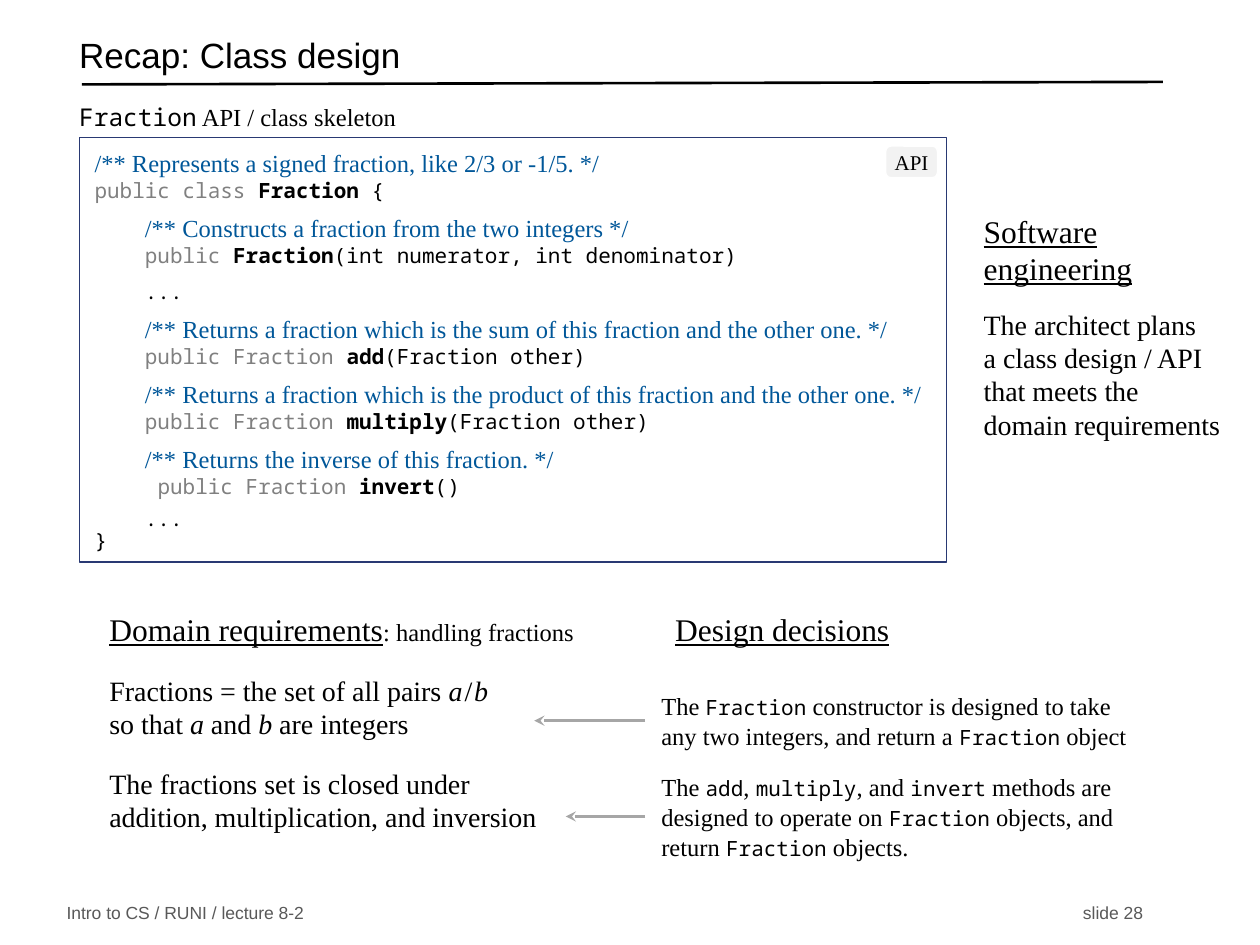
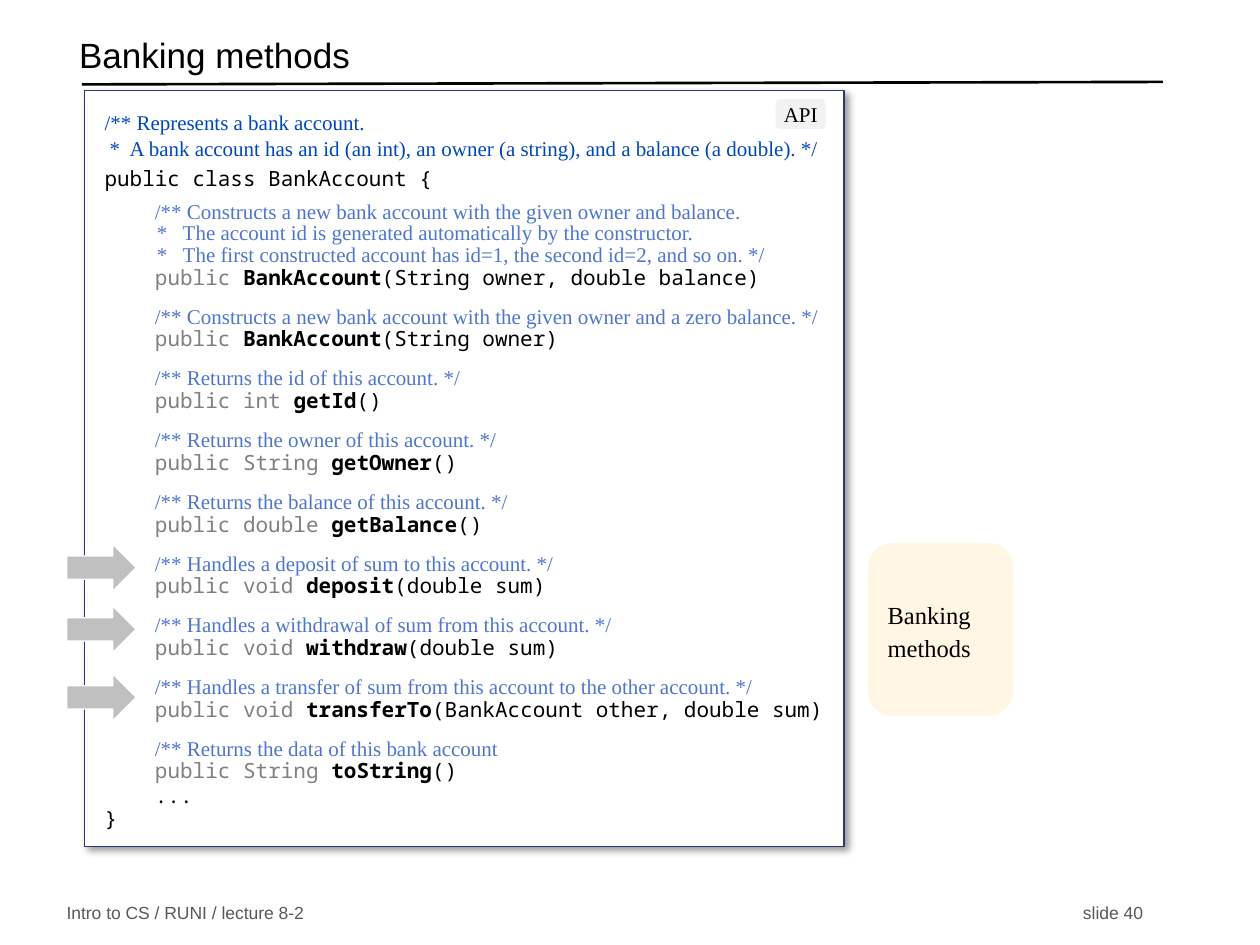
from dataclasses import dataclass, replace
from typing import NamedTuple

from lxml.etree import SubElement
from pptx import Presentation
from pptx.dml.color import RGBColor
from pptx.enum.shapes import MSO_CONNECTOR, MSO_SHAPE as Shape
from pptx.enum.text import MSO_ANCHOR as Anchor, PP_ALIGN as Align
from pptx.oxml.ns import qn
from pptx.util import Inches, Pt


@dataclass(frozen=True)
class Style:
    size: float
    font: str = "Times New Roman"
    color: str = "000000"
    bold: bool = False
    italic: bool = False
    underline: bool = False
    tracking: float = 0


class Theme:
    ink, white = "000000", "FFFFFF"
    frame, tag, arrow, link, callout = "293973", "F2F2F2", "C0C0C0", "A6A6A6", "FFF6E4"
    title = Style(20, "Arial")
    footer = Style(10, "Arial", "595959")
    heading = Style(18, underline=True)
    body = Style(16)
    variable = replace(body, italic=True)
    spaced_variable = replace(variable, tracking=1.1)
    spaced_body = replace(body, tracking=1.1)
    note = Style(14)
    label = Style(12)
    code = Style(12, "Noto Sans Mono")
    code_label = replace(code, size=14)
    keyword = replace(code, color="808080")
    name = replace(code, bold=True)
    fraction_doc = Style(14, color="005799")
    class_doc = Style(12, color="0048B7")
    member_doc = Style(12, color="4F76CB")


class Box(NamedTuple):
    left: float
    top: float
    width: float
    height: float

    def inches(self):
        return [Inches(value) for value in self]


class Line(NamedTuple):
    """One paragraph: (text, style) runs, space before and line spacing (points or factor)."""
    runs: list
    before: float = 0
    spacing: float = 1.0


INDENT = "    "


def rgb(color):
    return RGBColor.from_string(color)


def write(shape, lines, anchor=Anchor.TOP, align=Align.LEFT, insets=(0.1, 0.05, 0.1, 0.05)):
    """Fill a shape with lines; a newline inside a run becomes a line break."""
    frame = shape.text_frame
    frame.word_wrap = True
    frame.vertical_anchor = anchor
    (frame.margin_left, frame.margin_top,
     frame.margin_right, frame.margin_bottom) = map(Inches, insets)
    for index, line in enumerate(lines):
        paragraph = frame.add_paragraph() if index else frame.paragraphs[0]
        paragraph.alignment = align
        paragraph.space_before = Pt(line.before)
        paragraph.line_spacing = line.spacing if line.spacing < 2 else Pt(line.spacing)
        for text, style in line.runs:
            for part_index, part in enumerate(text.split("\n")):
                if part_index:
                    paragraph.add_line_break()
                if part:
                    add_run(paragraph, part, style)


def add_run(paragraph, text, style):
    run = paragraph.add_run()
    run.text = text
    font = run.font
    font.size, font.name = Pt(style.size), style.font
    font.bold, font.italic, font.underline = style.bold, style.italic, style.underline
    font.color.rgb = rgb(style.color)
    if style.tracking:
        run._r.get_or_add_rPr().set("spc", str(round(style.tracking * 100)))


def add_text(slide, box, lines, **layout):
    write(slide.shapes.add_textbox(*box.inches()), lines, **layout)


def add_panel(slide, kind, box, fill=None, outline=None):
    panel = slide.shapes.add_shape(kind, *box.inches())
    panel.shadow.inherit = False
    if fill:
        panel.fill.solid()
        panel.fill.fore_color.rgb = rgb(fill)
    else:
        panel.fill.background()
    if outline:
        panel.line.color.rgb = rgb(outline)
        panel.line.width = Pt(0.75)
    else:
        panel.line.fill.background()
    return panel


def add_line(slide, start, end, color, arrow=False):
    line = slide.shapes.add_connector(MSO_CONNECTOR.STRAIGHT, *map(Inches, start + end))
    line.line.color.rgb = rgb(color)
    line.line.width = Pt(1.5)
    if arrow:
        SubElement(line.line._get_or_add_ln(), qn("a:tailEnd"), type="stealth")
    SubElement(line._element.spPr, qn("a:effectLst"))


def add_shadow(panel):
    effects = panel._element.spPr.find(qn("a:effectLst"))
    shadow = SubElement(effects, qn("a:outerShdw"), blurRad=str(Pt(4)), dist=str(Pt(3)),
                        dir="2700000", algn="tl", rotWithShape="0")
    color = SubElement(shadow, qn("a:srgbClr"), val=Theme.ink)
    SubElement(color, qn("a:alpha"), val="40000")


def add_base_slide(deck, title, number):
    """Blank slide with the shared title, rule and footer."""
    slide = deck.slides.add_slide(deck.slide_layouts[6])
    add_line(slide, (0.65, 0.67), (9.23, 0.65), Theme.ink)
    footer = Box(0.43, 7.14, 8.74, 0.21)
    for part, width, align in (("Intro to CS / RUNI / lecture 8-2", 4, Align.LEFT),
                               (f"slide {number}", 2, Align.RIGHT)):
        left = footer.left if align == Align.LEFT else footer.left + footer.width - width
        add_text(slide, Box(left, footer.top, width, footer.height),
                 [Line([(part, Theme.footer)])], anchor=Anchor.MIDDLE, align=align)
    add_text(slide, Box(0.53, 0.22, 8.6, 0.5), [Line([(title, Theme.title)], spacing=0.7)],
             anchor=Anchor.MIDDLE)
    return slide


def add_api_tag(slide, left, top):
    tag = add_panel(slide, Shape.ROUNDED_RECTANGLE, Box(left, top, 0.41, 0.25),
                    Theme.tag, Theme.white)
    write(tag, [Line([("API", Theme.label)])], Anchor.MIDDLE, Align.CENTER, (0, 0.05, 0, 0.05))


def signature(keywords, name, rest, indent=INDENT):
    return [(indent, Theme.code), (keywords, Theme.keyword), (name, Theme.name),
            (rest, Theme.code)]


def doc(text, style):
    return [(INDENT, Theme.code), (text, style)]


def add_fraction_api(slide, box):
    doc_pitch, code_pitch, end_pitch = 16.6, 14.5, 12.4

    def method(comment, *parts):
        return [Line(doc(comment, Theme.fraction_doc), 6, doc_pitch),
                Line(signature(*parts), 0, code_pitch)]

    dots = [(INDENT + "...", Theme.code)]
    lines = [
        Line([("/** Represents a signed fraction, like 2/3 or -1/5. */", Theme.fraction_doc)],
             0, doc_pitch),
        Line(signature("public class ", "Fraction", " {", ""), 0, code_pitch),
        *method("/** Constructs a fraction from the two integers */",
                "public ", "Fraction", "(int numerator, int denominator)"),
        Line(dots, 6, code_pitch),
        *method("/** Returns a fraction which is the sum of this fraction and the other one. */",
                "public Fraction ", "add", "(Fraction other)"),
        *method("/** Returns a fraction which is the product of this fraction "
                "and the other one. */",
                "public Fraction ", "multiply", "(Fraction other)"),
        *method("/** Returns the inverse of this fraction. */",
                "public Fraction ", "invert", "()", INDENT + " "),
        Line(dots, 6, end_pitch),
        Line([("}", Theme.code)], 0, end_pitch),
    ]
    add_text(slide, Box(box.left - 0.1, box.top - 0.33, 3.7, 0.34),
             [Line([("Fraction", Theme.code_label), (" API / class skeleton", Theme.note)])])
    write(add_panel(slide, Shape.RECTANGLE, box, outline=Theme.frame), lines,
          insets=(0.12, 0.09, 0, 0))
    add_api_tag(slide, box.left + 6.4, box.top + 0.07)


def add_domain_requirements(slide, box):
    body, variable = Theme.body, Theme.variable
    add_text(slide, box, [
        Line([("Domain requirements", Theme.heading), (": handling fractions", Theme.note)]),
        Line([("Fractions = the set of all pairs ", body), ("a", Theme.spaced_variable),
              ("/", Theme.spaced_body), ("b\n", variable), ("so that ", body),
              ("a", variable), (" and ", body), ("b", variable), (" are integers", body)],
             15, 19),
        Line([("The fractions set is closed under\naddition, multiplication, and inversion",
               body)], 15, 19),
    ])


def add_design_decisions(slide, box):
    """Heading and decisions, each with an arrow to the requirement it meets."""
    decisions = [
        (0.88, ["The ", "Fraction", " constructor is designed to take any two integers, "
                "and return a ", "Fraction", " object"]),
        (0.63, ["The ", "add", ", ", "multiply", ", and ", "invert",
                " methods are designed to operate on ", "Fraction",
                " objects, and return ", "Fraction", " objects."]),
    ]
    height, pitch = 0.62, 0.76
    add_text(slide, Box(box.left + 0.14, box.top, box.width, 0.5),
             [Line([("Design decisions", Theme.heading)])])
    for row, (reach, texts) in enumerate(decisions):
        top = box.top + 0.62 + row * pitch
        # Plain words and code names alternate.
        runs = [(text, (Theme.note, Theme.code)[index % 2]) for index, text in enumerate(texts)]
        panel = add_panel(slide, Shape.ROUNDED_RECTANGLE, Box(box.left, top, box.width, height))
        write(panel, [Line(runs, 0, 17)], Anchor.MIDDLE, insets=(0.1, 0.05, 0, 0.05))
        middle = top + height / 2
        add_line(slide, (box.left, middle), (box.left - reach, middle), Theme.link, arrow=True)


def add_engineering_note(slide, box):
    write(add_panel(slide, Shape.ROUNDED_RECTANGLE, box), [
        Line([("Software engineering", Theme.heading)], 0, 21),
        Line([("The architect plans\na class design / API that meets the domain requirements",
               Theme.body)], 12, 19),
    ], Anchor.MIDDLE, insets=(0.1, 0.05, 0, 0.05))


def add_account_api(slide, box):
    code_pitch, tight = 14.3, 12.4

    def method(comment, *parts):
        return [Line(doc(comment, Theme.member_doc), 8, code_pitch),
                Line(signature(*parts), 1, 12)]

    constructor_doc = [
        Line([(" " * 10 + text, Theme.member_doc)], 0, tight)
        for text in ("*   The account id is generated automatically by the constructor.",
                     "*   The first constructed account has id=1, the second id=2, and so on. */")]
    methods = [
        ("Constructs a new bank account with the given owner and a zero balance. */",
         "public ", "BankAccount", "(String owner)"),
        ("Returns the id of this account. */", "public int ", "getId", "()"),
        ("Returns the owner of this account. */", "public String ", "getOwner", "()"),
        ("Returns the balance of this account. */", "public double ", "getBalance", "()"),
        ("Handles a deposit of sum to this account. */",
         "public void ", "deposit", "(double sum)"),
        ("Handles a withdrawal of sum from this account. */",
         "public void ", "withdraw", "(double sum)"),
        ("Handles a transfer of sum from this account to the other account. */",
         "public void ", "transferTo", "(BankAccount other, double sum)"),
        ("Returns the data of this bank account", "public String ", "toString", "()"),
    ]
    lines = [
        Line([("/** Represents a bank account.", Theme.class_doc)], 0, 13.8),
        Line([(" *  A bank account has an id (an int), an owner (a string), "
               "and a balance (a double). */", Theme.class_doc)], 1, 13.8),
        Line([("public class BankAccount {", Theme.code)], 3, code_pitch),
        Line(doc("/** Constructs a new bank account with the given owner and balance.",
                 Theme.member_doc), 6, tight),
        *constructor_doc,
        Line(signature("public ", "BankAccount", "(String owner, double balance)"), 1, 12),
        *(line for text, *parts in methods for line in method("/** " + text, *parts)),
        Line([(INDENT + "...", Theme.code)], 0, code_pitch),
        Line([("}", Theme.code)], 1, 12),
    ]
    panel = add_panel(slide, Shape.RECTANGLE, box, Theme.white, Theme.frame)
    add_shadow(panel)
    write(panel, lines, insets=(0.16, 0.16, 0, 0))
    add_api_tag(slide, box.left + 5.48, box.top + 0.06)


def add_banking_callout(slide, box):
    """Arrows at the three banking methods and the callout that names them."""
    for offset in (0, 0.49, 1.03):
        add_panel(slide, Shape.RIGHT_ARROW, Box(box.left, box.top + 0.01 + offset, 0.55, 0.37),
                  Theme.arrow, Theme.white)
    width = 1.15
    callout = add_panel(slide, Shape.ROUNDED_RECTANGLE,
                        Box(box.left + box.width - width, box.top, width, box.height),
                        Theme.callout)
    write(callout, [Line([("Banking methods", Theme.note)], 0, 18.8)], Anchor.MIDDLE,
          insets=(0.1, 0.05, 0.08, 0.05))


def add_class_design_slide(deck):
    slide = add_base_slide(deck, "Recap: Class design", 28)
    add_domain_requirements(slide, Box(0.77, 4.79, 4.57, 1.98))
    add_design_decisions(slide, Box(5.12, 4.79, 3.88, 2))
    add_fraction_api(slide, Box(0.63, 1.09, 6.88, 3.37))
    add_engineering_note(slide, Box(7.6, 1.44, 2.24, 2.31))


def add_banking_slide(deck):
    slide = add_base_slide(deck, "Banking methods", 40)
    add_account_api(slide, Box(0.67, 0.72, 6.03, 6))
    add_banking_callout(slide, Box(0.53, 4.31, 7.51, 1.37))


def main():
    deck = Presentation()
    deck.slide_width, deck.slide_height = Inches(10), Inches(7.5)
    add_class_design_slide(deck)
    add_banking_slide(deck)
    deck.save("out.pptx")


if __name__ == "__main__":
    main()
